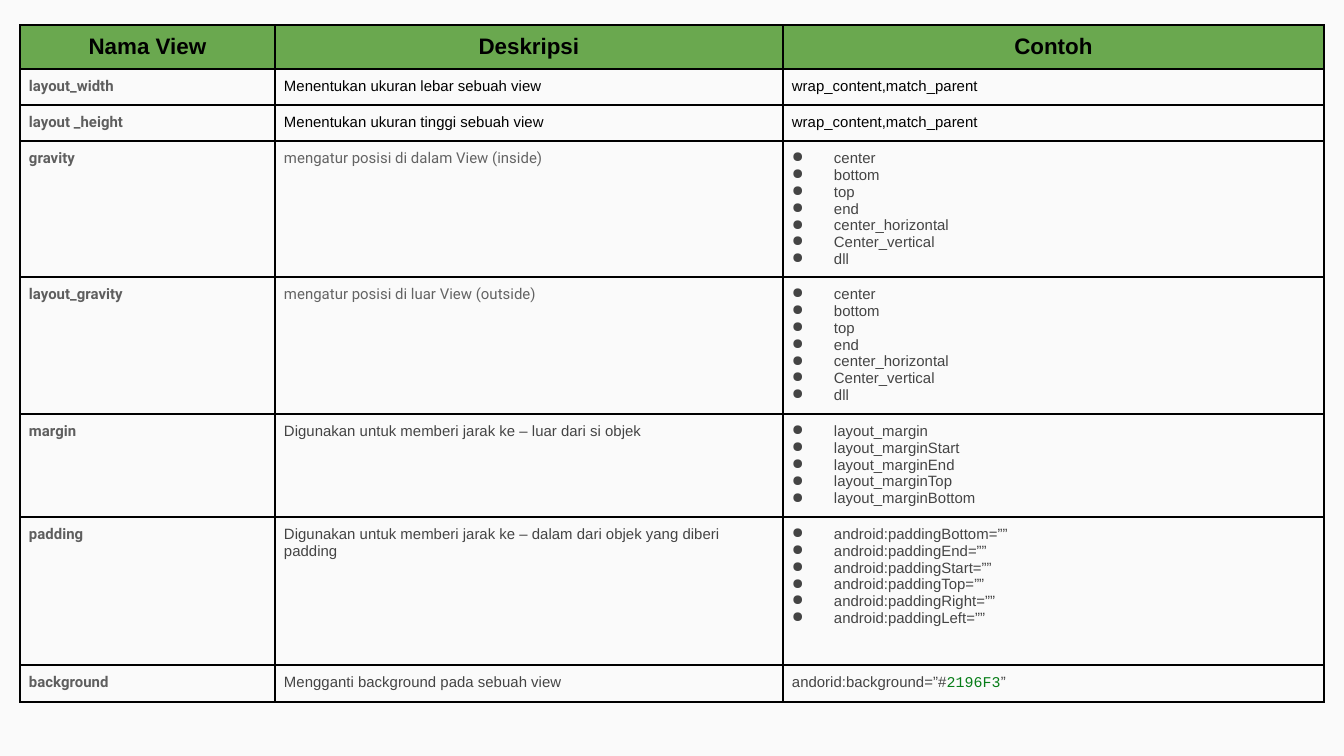
import pptx
import pptx.dml.color
import pptx.enum.text
import pptx.oxml
import pptx.oxml.ns
import pptx.util
from lxml import etree

RGB = pptx.dml.color.RGBColor
PAPER = RGB(0xFA, 0xFA, 0xFA)
GREEN = RGB(0x6A, 0xA8, 0x4F)
BLACK = RGB(0x00, 0x00, 0x00)
NAME_GRAY = RGB(0x5E, 0x5E, 0x5E)
SOFT_GRAY = RGB(0x63, 0x63, 0x63)
DARK_GRAY = RGB(0x44, 0x44, 0x44)
CODE_GREEN = RGB(0x06, 0x7D, 0x17)

COLS = [255, 508, 541]
ROWS = [44, 36, 36, 136, 137, 103, 148, 37]
INSET = 9
INDENT = 42

HEADERS = ["Nama View", "Deskripsi", "Contoh"]
GRAVITIES = ["center", "bottom", "top", "end", "center_horizontal", "Center_vertical", "dll"]
MARGINS = ["layout_margin"] + [f"layout_margin{side}" for side in ("Start", "End", "Top", "Bottom")]
PADDINGS = [f"android:padding{side}=””" for side in ("Bottom", "End", "Start", "Top", "Right", "Left")]
PLAIN = dict(font="Arial", color=BLACK)
SOFT = dict(font="Roboto", color=SOFT_GRAY)
DARK = dict(font="Arial", color=DARK_GRAY)
VIEWS = [
    ("layout_width", "Menentukan ukuran lebar sebuah view", PLAIN, "wrap_content,match_parent"),
    ("layout _height", "Menentukan ukuran tinggi sebuah view", PLAIN, "wrap_content,match_parent"),
    ("gravity", "mengatur posisi di dalam View (inside)", SOFT, GRAVITIES),
    ("layout_gravity", "mengatur posisi di luar View (outside)", SOFT, GRAVITIES),
    ("margin", "Digunakan untuk memberi jarak ke – luar dari si objek", DARK, MARGINS),
    ("padding", "Digunakan untuk memberi jarak ke – dalam dari objek yang diberi padding", DARK, PADDINGS),
    ("background", "Mengganti background pada sebuah view", DARK, None),
]


def px(n):
    """Turn pixels into EMU."""
    return pptx.util.Emu(round(n * 914400 / 134.4))


def add_text(p, text, size=8, font="Arial", color=BLACK, bold=False):
    """Add one formatted run to a paragraph."""
    r = p.add_run()
    r.text = text
    r.font.size = pptx.util.Pt(size)
    r.font.name = font
    r.font.color.rgb = color
    r.font.bold = bold


def add_bullets(tf, items):
    """Fill a text frame with bulleted items."""
    for i, item in enumerate(items):
        p = tf.add_paragraph() if i else tf.paragraphs[0]
        pPr = p._p.get_or_add_pPr()
        pPr.set("marL", str(px(INDENT)))
        pPr.set("indent", str(-px(INDENT)))
        buClr = etree.SubElement(pPr, pptx.oxml.ns.qn("a:buClr"))
        etree.SubElement(buClr, pptx.oxml.ns.qn("a:srgbClr"), val=str(DARK_GRAY))
        etree.SubElement(pPr, pptx.oxml.ns.qn("a:buChar"), char="●")
        add_text(p, item, **DARK)


def style_cell(cell, fill=None):
    """Give a cell its insets, black borders and fill."""
    cell.margin_left = cell.margin_right = px(INSET)
    cell.margin_top = cell.margin_bottom = px(INSET)
    tcPr = cell._tc.get_or_add_tcPr()
    for side in ("lnL", "lnR", "lnT", "lnB"):
        tcPr.append(pptx.oxml.parse_xml(
            f'<a:{side} {pptx.oxml.ns.nsdecls("a")} w="{pptx.util.Pt(1)}">'
            f'<a:solidFill><a:srgbClr val="{BLACK}"/></a:solidFill></a:{side}>'))
    if fill is None:
        cell.fill.background()
    else:
        cell.fill.solid()
        cell.fill.fore_color.rgb = fill


def add_view_table(s, x, y):
    """Place the table of view attributes with its top left corner at x, y."""
    table = s.shapes.add_table(len(ROWS), len(COLS), px(x), px(y), px(sum(COLS)), px(sum(ROWS))).table
    for col, width in zip(table.columns, COLS):
        col.width = px(width)
    for row, height in zip(table.rows, ROWS):
        row.height = px(height)
    for cell, header in zip(table.rows[0].cells, HEADERS):
        style_cell(cell, GREEN)
        p = cell.text_frame.paragraphs[0]
        p.alignment = pptx.enum.text.PP_ALIGN.CENTER
        add_text(p, header, size=12, bold=True)
    for i, (name, description, look, example) in enumerate(VIEWS, 1):
        cells = list(table.rows[i].cells)
        for cell in cells:
            style_cell(cell)
        name_p, description_p, example_p = [cell.text_frame.paragraphs[0] for cell in cells]
        add_text(name_p, name, font="Roboto", color=NAME_GRAY, bold=True)
        add_text(description_p, description, **look)
        if isinstance(example, list):
            add_bullets(cells[2].text_frame, example)
        elif example:
            add_text(example_p, example)
        else:
            add_text(example_p, "andorid:background=”#", **DARK)
            add_text(example_p, "2196F3", font="Courier New", color=CODE_GREEN)
            add_text(example_p, "”", **DARK)


def main():
    """Build the slide and save it."""
    prs = pptx.Presentation()
    prs.slide_width, prs.slide_height = px(1344), px(756)
    s = prs.slides.add_slide(prs.slide_layouts[6])
    s.background.fill.solid()
    s.background.fill.fore_color.rgb = PAPER
    add_view_table(s, 20, 25)
    prs.save("out.pptx")


if __name__ == "__main__":
    main()
